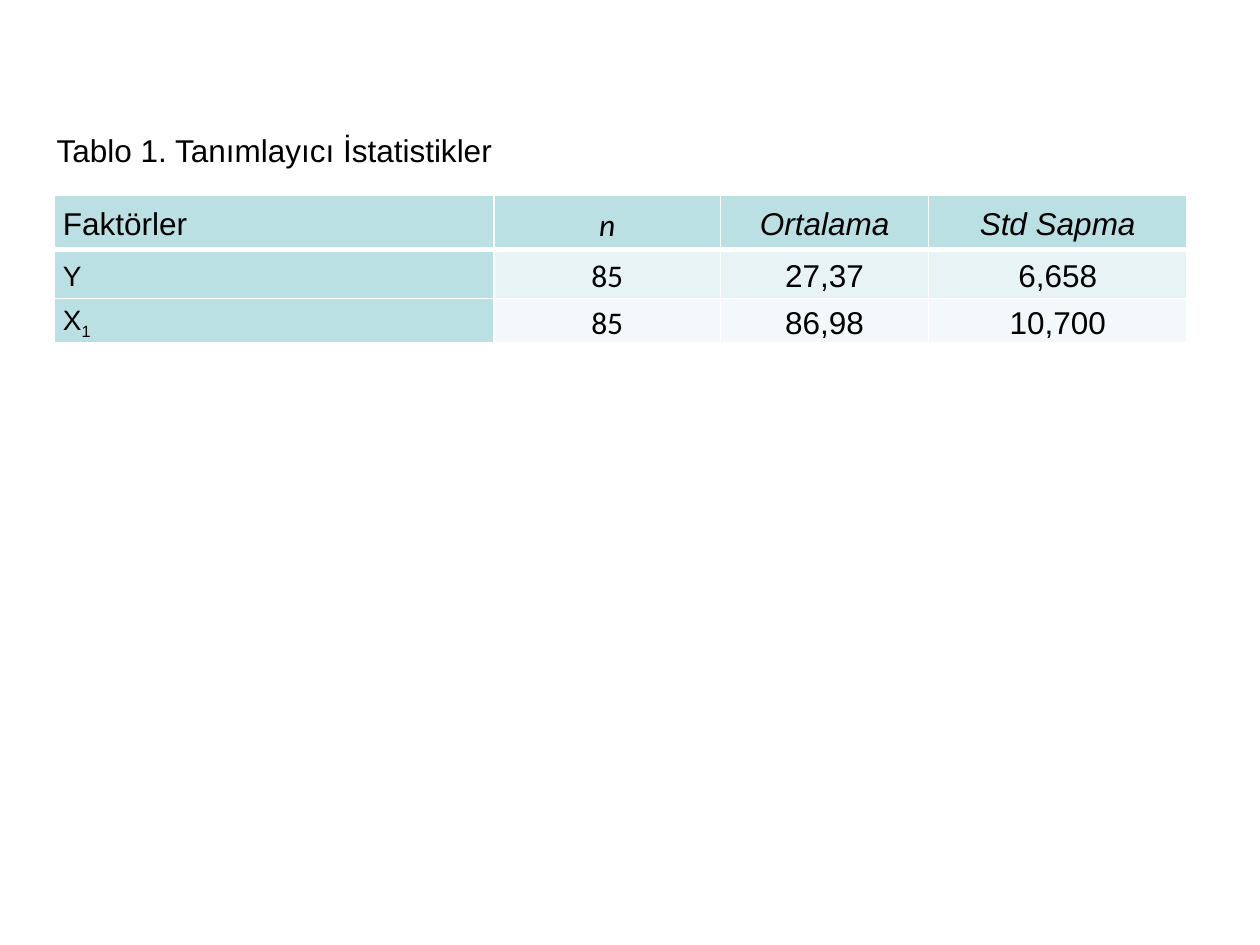
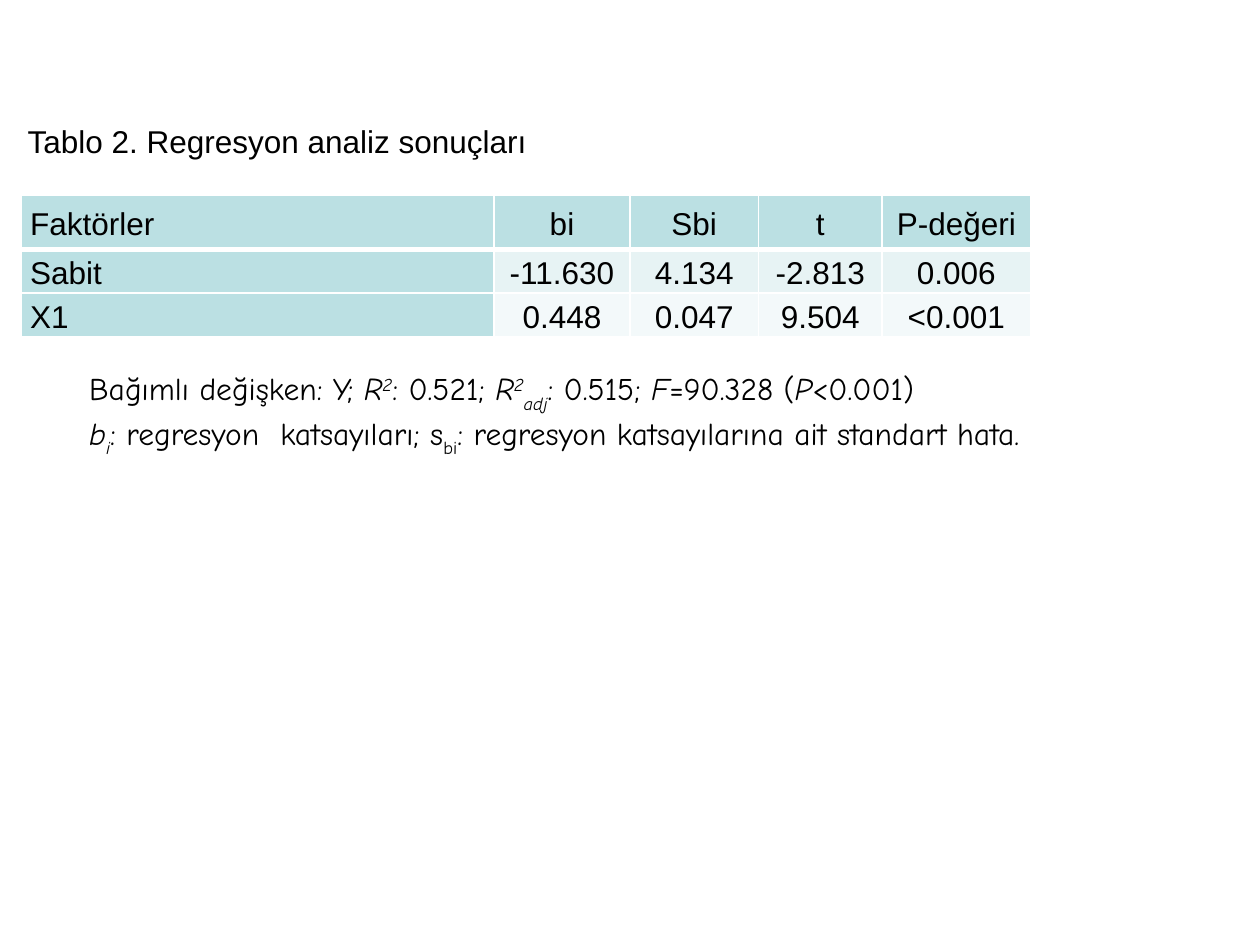
import pptx
import pptx.util
import pptx.dml.color
import pptx.enum.text
import pptx.oxml.ns
import lxml.etree

Inches, Pt = pptx.util.Inches, pptx.util.Pt
ALIGN = pptx.enum.text.PP_ALIGN
COLORS = {"text": "000000", "label": "BBE0E3", "band_dark": "E7F3F4",
          "band_light": "F3F9FA", "border": "FFFFFF"}
TEXT_FONT, NUMBER_FONT, NOTE_FONT = "Arial", "Calibri", "Comic Neue"
TITLE_ONLY = 5


def rgb(name):
    return pptx.dml.color.RGBColor.from_string(COLORS[name])


def style_paragraph(para, font, size=18, italic=False, align=ALIGN.LEFT):
    para.alignment = align
    para.font.name = font
    para.font.size = Pt(size)
    para.font.italic = italic
    para.font.bold = False
    para.font.color.rgb = rgb("text")


def add_runs(para, runs):
    """Each run is (text, italic, baseline shift in percent)."""
    for text, italic, shift in runs:
        span = para.add_run()
        span.text = text
        if italic:
            span.font.italic = True
        if shift:
            span._r.get_or_add_rPr().set("baseline", str(shift * 1000))


def add_caption(page, text, box):
    """Table caption in the title placeholder."""
    title = page.shapes.title
    title.left, title.top, title.width, title.height = map(Inches, box)
    frame = title.text_frame
    frame.text = text
    frame.word_wrap = False
    frame.auto_size = pptx.enum.text.MSO_AUTO_SIZE.SHAPE_TO_FIT_TEXT
    frame.vertical_anchor = pptx.enum.text.MSO_ANCHOR.TOP
    style_paragraph(frame.paragraphs[0], TEXT_FONT)


def add_borders(cell, bottom_width):
    properties = cell._tc.get_or_add_tcPr()
    for side, width in (("L", 1), ("R", 1), ("T", 1), ("B", bottom_width)):
        line = lxml.etree.SubElement(properties, pptx.oxml.ns.qn(f"a:ln{side}"), w=str(Pt(width)))
        fill = lxml.etree.SubElement(line, pptx.oxml.ns.qn("a:solidFill"))
        lxml.etree.SubElement(fill, pptx.oxml.ns.qn("a:srgbClr"), val=COLORS["border"])


def add_statistics_table(page, left, top, widths, heights, rows, label_size=18,
                         header_italic=False, number_columns=()):
    """Table with a header row, a label column and banded values."""
    frame = page.shapes.add_table(len(rows), len(widths), Inches(left), Inches(top),
                                  Inches(sum(widths)), Inches(sum(heights)))
    table = frame.table
    table.first_row = table.horz_banding = False
    for column, width in zip(table.columns, widths):
        column.width = Inches(width)
    for r, (row, height) in enumerate(zip(rows, heights)):
        table.rows[r].height = Inches(height)
        for c, content in enumerate(row):
            cell = table.cell(r, c)
            is_header, is_label = r == 0, c == 0

            # Cell frame
            cell.margin_left = cell.margin_right = Inches(0.07)
            cell.margin_top = cell.margin_bottom = 0
            cell.vertical_anchor = pptx.enum.text.MSO_ANCHOR.MIDDLE
            add_borders(cell, 3 if is_header else 1)
            band = "band_dark" if r % 2 else "band_light"
            cell.fill.solid()
            cell.fill.fore_color.rgb = rgb("label" if is_header or is_label else band)

            # Cell text
            para = cell.text_frame.paragraphs[0]
            para.line_spacing = 1.15
            style_paragraph(para,
                            NUMBER_FONT if c in number_columns else TEXT_FONT,
                            label_size if is_label and not is_header else 18,
                            header_italic and is_header and not is_label,
                            ALIGN.JUSTIFY if is_label else ALIGN.CENTER)
            add_runs(para, [(content, False, 0)] if isinstance(content, str) else content)


def add_notes_below_table(page, box, lines):
    frame = page.shapes.add_textbox(*map(Inches, box)).text_frame
    frame.word_wrap = True
    frame.auto_size = pptx.enum.text.MSO_AUTO_SIZE.SHAPE_TO_FIT_TEXT
    for number, runs in enumerate(lines):
        para = frame.add_paragraph() if number else frame.paragraphs[0]
        style_paragraph(para, NOTE_FONT, align=ALIGN.JUSTIFY)
        properties = para._p.get_or_add_pPr()
        properties.set("marL", "0")
        properties.set("indent", str(Inches(0.49)))
        add_runs(para, runs)


def build_descriptive_page(deck):
    page = deck.slides.add_slide(deck.slide_layouts[TITLE_ONLY])
    add_statistics_table(
        page, 0.43, 1.55, [3.49, 1.8, 1.65, 2.05], [0.43, 0.39, 0.34],
        [["Faktörler", "n", "Ortalama", "Std Sapma"],
         ["Y", "85", "27,37", "6,658"],
         [[("X", False, 0), ("1", False, -25)], "85", "86,98", "10,700"]],
        label_size=16, header_italic=True, number_columns=(1,))
    add_caption(page, "Tablo 1. Tanımlayıcı İstatistikler", (0.35, 0.99, 3.69, 0.4))


def build_regression_page(deck):
    page = deck.slides.add_slide(deck.slide_layouts[TITLE_ONLY])
    add_statistics_table(
        page, 0.17, 1.55, [3.75, 1.08, 1.02, 0.98, 1.18], [0.43, 0.34, 0.34],
        [["Faktörler", "bi", "Sbi", "t", "P-değeri"],
         ["Sabit", "-11.630", "4.134", "-2.813", "0.006"],
         ["X1", "0.448", "0.047", "9.504", "<0.001"]])
    add_notes_below_table(page, (0.12, 2.88, 9.53, 0.71), [
        [("Bağımlı değişken: Y; ", False, 0), ("R", True, 0), ("2", True, 30),
         (": 0.521; ", False, 0), ("R", True, 0), ("2", True, 30), ("adj", True, -30),
         (": 0.515; ", False, 0), ("F", True, 0), ("=90.328 (", False, 0),
         ("P", True, 0), ("<0.001)", False, 0)],
        [("b", True, 0), ("i", True, -30), (": regresyon  katsayıları; s", False, 0),
         ("bi", False, -30), (": regresyon katsayılarına ait standart hata.", False, 0)]])
    add_caption(page, "Tablo 2. Regresyon analiz sonuçları", (0.12, 0.92, 4.2, 0.4))


def main():
    deck = pptx.Presentation()
    deck.slide_width, deck.slide_height = Inches(10), Inches(7.5)
    build_descriptive_page(deck)
    build_regression_page(deck)
    deck.save("out.pptx")


if __name__ == "__main__":
    main()
